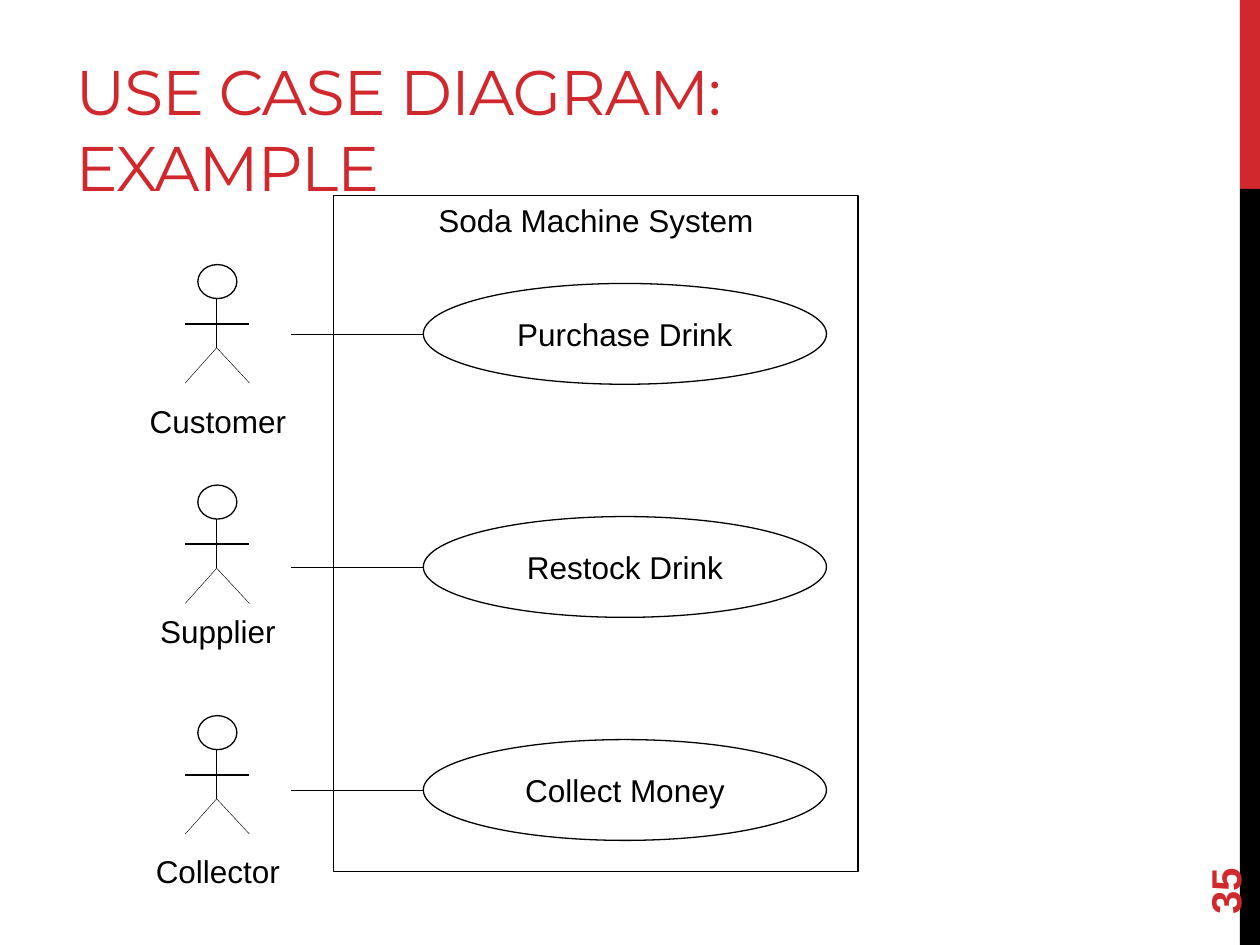
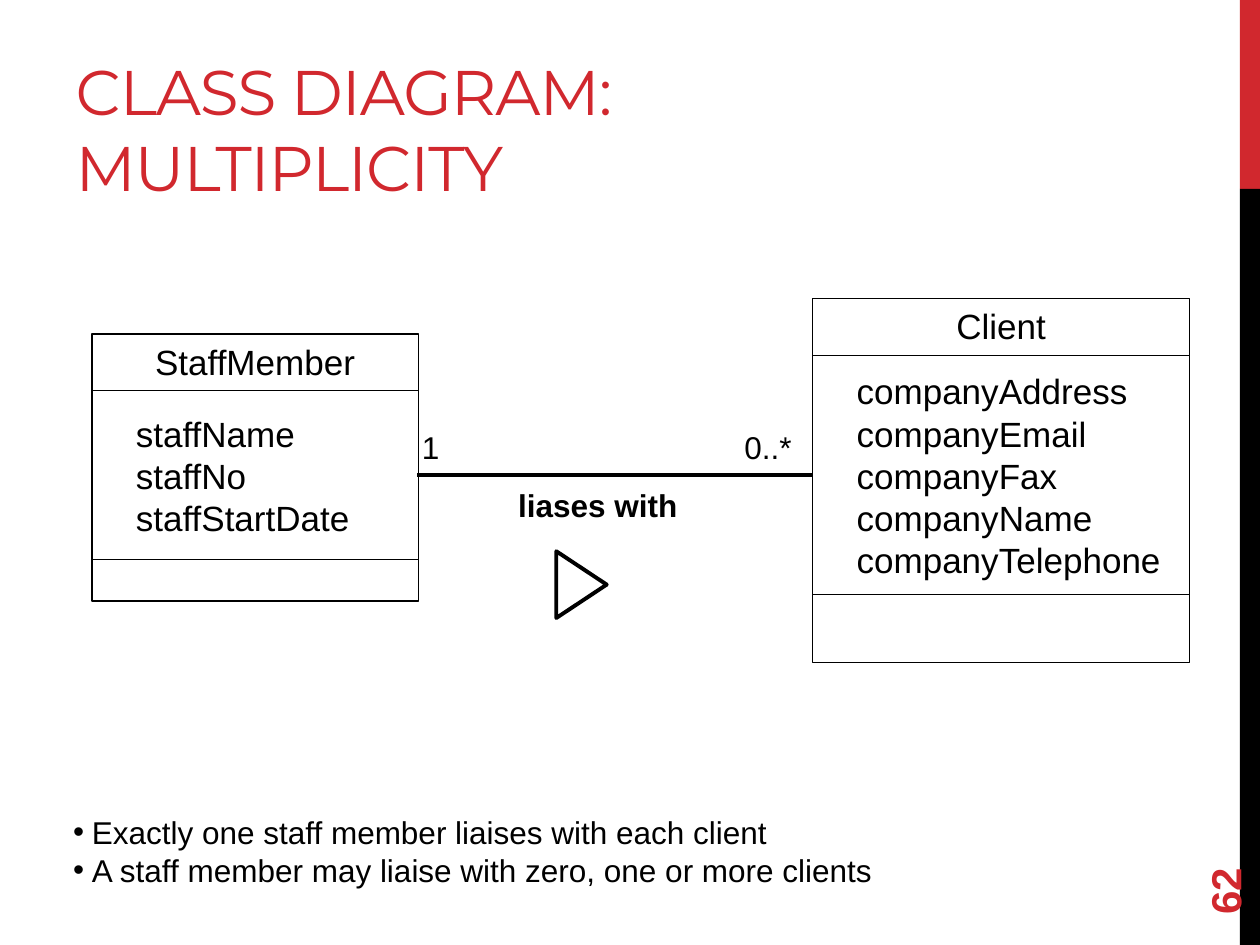
from lxml import etree
from pptx import Presentation
from pptx import util as u
from pptx.dml.color import RGBColor
from pptx.enum import shapes, text
from pptx.oxml.ns import qn

COLORS = {"accent": "D1282E", "ink": "000000", "paper": "FFFFFF"}
BODY_FONT, TITLE_FONT = "Arial", "Montserrat"
LEFT, CENTER = text.PP_ALIGN.LEFT, text.PP_ALIGN.CENTER
TOP, MIDDLE, BOTTOM = (text.MSO_ANCHOR.TOP, text.MSO_ANCHOR.MIDDLE,
                       text.MSO_ANCHOR.BOTTOM)
SHAPE = shapes.MSO_SHAPE

# Content: slide 1
USE_CASE_TITLE, USE_CASE_NUMBER = "USE CASE DIAGRAM: EXAMPLE", "35"
SYSTEM_NAME = "Soda Machine System"
# actor, head top, label top, use case, use case top
USE_CASES = [
    ("Customer", 2.10, 3.14, "Purchase Drink", 2.25),
    ("Supplier", 3.85, 4.81, "Restock Drink", 4.10),
    ("Collector", 5.68, 6.71, "Collect Money", 5.87),
]

# Content: slide 2
CLASS_TITLE, CLASS_NUMBER = "CLASS DIAGRAM: MULTIPLICITY", "62"
# name, (left, top, width, height), height of the attribute part, attributes
CLASSES = [
    ("StaffMember", (0.73, 2.65, 2.59, 2.12), 1.34,
     ["staffName", "staffNo", "staffStartDate"]),
    ("Client", (6.45, 2.37, 2.99, 2.89), 1.90,
     ["companyAddress", "companyEmail", "companyFax", "companyName",
      "companyTelephone"]),
]
# text, left, top, width, format
ASSOCIATION_LABELS = [
    ("liases with", 3.78, 3.81, 1.93, {"align": CENTER, "bold": True}),
    ("1", 3.25, 3.35, 0.71, {}),
    ("0..*", 5.81, 3.35, 0.71, {}),
]
RULES = [
    "Exactly one staff member liaises with each client",
    "A staff member may liaise with zero, one or more clients",
]


def rgb(name):
    return RGBColor.from_string(COLORS[name])


def place(part, left, top, width, height):
    part.left, part.top = u.Inches(left), u.Inches(top)
    part.width, part.height = u.Inches(width), u.Inches(height)


def write(box, lines, size=18, color="ink", font=BODY_FONT, bold=False,
          align=LEFT, anchor=TOP, indent=0, hanging=0, bullet=None,
          tracking=None):
    """Fill a box with one paragraph per line, all in the same format."""
    frame = box.text_frame
    frame.auto_size = text.MSO_AUTO_SIZE.NONE
    frame.word_wrap = True
    frame.vertical_anchor = anchor
    lines = [lines] if isinstance(lines, str) else lines
    for index, line in enumerate(lines):
        para = frame.add_paragraph() if index else frame.paragraphs[0]
        para.alignment = align
        para.space_before = u.Pt(0)
        props = para._p.get_or_add_pPr()
        props.set("marL", str(u.Inches(indent)))
        props.set("indent", str(-u.Inches(hanging)))
        if bullet:
            etree.SubElement(props, qn("a:buFont")).set("typeface", font)
            etree.SubElement(props, qn("a:buChar")).set("char", bullet)
        span = para.add_run()
        span.text = line
        span.font.name, span.font.size = font, u.Pt(size)
        span.font.bold = bold
        span.font.color.rgb = rgb(color)
        if tracking is not None:
            span._r.get_or_add_rPr().set("spc", str(round(tracking * 100)))


def add_outline(parent, kind, left, top, width, height, fill="paper", line=0.75):
    shape = parent.shapes.add_shape(kind, 0, 0, 0, 0)
    place(shape, left, top, width, height)
    shape.shadow.inherit = False
    shape.fill.solid()
    shape.fill.fore_color.rgb = rgb(fill)
    if line:
        shape.line.color.rgb = rgb("ink")
        shape.line.width = u.Pt(line)
    else:
        shape.line.fill.background()
    return shape


def add_line(parent, start, end, width=0.25):
    line = parent.shapes.add_connector(
        shapes.MSO_CONNECTOR.STRAIGHT, *map(u.Inches, (*start, *end)))
    line.line.color.rgb = rgb("ink")
    line.line.width = u.Pt(width)
    etree.SubElement(line._element.spPr, qn("a:effectLst"))


def add_text(page, lines, left, top, width, height=0.4, **style):
    box = page.shapes.add_textbox(0, 0, 0, 0)
    place(box, left, top, width, height)
    write(box, lines, **style)
    return box


def add_page(deck, layout, title, number):
    page = deck.slides.add_slide(deck.slide_layouts.get_by_name(layout))
    place(page.shapes.title, 0.5, 0.17, 6.33, 1.5)
    write(page.shapes.title, title, size=36, color="accent", font=TITLE_FONT,
          anchor=BOTTOM, tracking=-0.6)
    box = add_text(page, number, 9, 6.44, 1.44, size=24, color="accent",
                   bold=True, anchor=MIDDLE)
    box.rotation = 270
    return page


def move_bands_to_master(deck, page):
    """Draw the side bands once and let every slide inherit them."""
    for color, top, height in (("accent", 0, 1.5), ("ink", 1.5, 6)):
        band = add_outline(page, SHAPE.RECTANGLE, 9.84, top, 0.16, height,
                           fill=color, line=0)
        deck.slide_master.shapes.element.append(band._element)


def add_actor(page, top):
    center, hip, foot = 1.72, top + 0.66, top + 0.94
    left, right = center - 0.25, center + 0.26
    actor = page.shapes.add_group_shape()
    add_outline(actor, SHAPE.OVAL, 1.57, top, 0.31, 0.27)
    add_line(actor, (left, top + 0.47), (right, top + 0.47), 1)
    add_line(actor, (center, top + 0.27), (center, hip))
    for side in (left, right):
        add_line(actor, (center, hip), (side, foot))


def build_use_case_slide(deck):
    page = add_page(deck, "Title Only", USE_CASE_TITLE, USE_CASE_NUMBER)
    move_bands_to_master(deck, page)
    system = add_outline(page, SHAPE.RECTANGLE, 2.65, 1.55, 4.16, 5.37)
    write(system, SYSTEM_NAME, align=CENTER)
    # The system frame lies behind the title
    page.shapes.title._element.addprevious(system._element)
    for actor, head_top, label_top, use_case, top in USE_CASES:
        add_actor(page, head_top)
        add_text(page, actor, 0.93, label_top, 1.6, align=CENTER)
        oval = add_outline(page, SHAPE.OVAL, 3.36, top, 3.2, 0.8)
        write(oval, use_case, align=CENTER, anchor=MIDDLE)
        add_line(page, (2.31, top + 0.4), (3.36, top + 0.4))


def add_class(page, name, frame, attributes_height, attributes):
    left, top, width, _ = frame
    group = page.shapes.add_group_shape()
    whole = add_outline(group, SHAPE.RECTANGLE, *frame)
    write(whole, name, size=20, align=CENTER)
    middle = add_outline(group, SHAPE.RECTANGLE, left, top + 0.45, width,
                         attributes_height)
    write(middle, attributes, size=20, anchor=MIDDLE, indent=0.25)


def build_class_slide(deck):
    page = add_page(deck, "Title and Content", CLASS_TITLE, CLASS_NUMBER)
    rules = page.placeholders[1]
    place(rules, 0.48, 6.4, 8.04, 0.71)
    write(rules, RULES, bullet="•", indent=0.15, hanging=0.15)
    for item in CLASSES:
        add_class(page, *item)
    # Association with its reading direction
    add_line(page, (6.45, 3.77), (3.31, 3.77), 2.25)
    arrow = add_outline(page, SHAPE.ISOSCELES_TRIANGLE, 4.35, 4.44, 0.53, 0.4,
                        line=2.25)
    arrow.rotation = 90
    for label, left, top, width, style in ASSOCIATION_LABELS:
        add_text(page, label, left, top, width, **style)


def main():
    deck = Presentation()
    deck.slide_width, deck.slide_height = u.Inches(10), u.Inches(7.5)
    build_use_case_slide(deck)
    build_class_slide(deck)
    deck.save("out.pptx")


if __name__ == "__main__":
    main()
